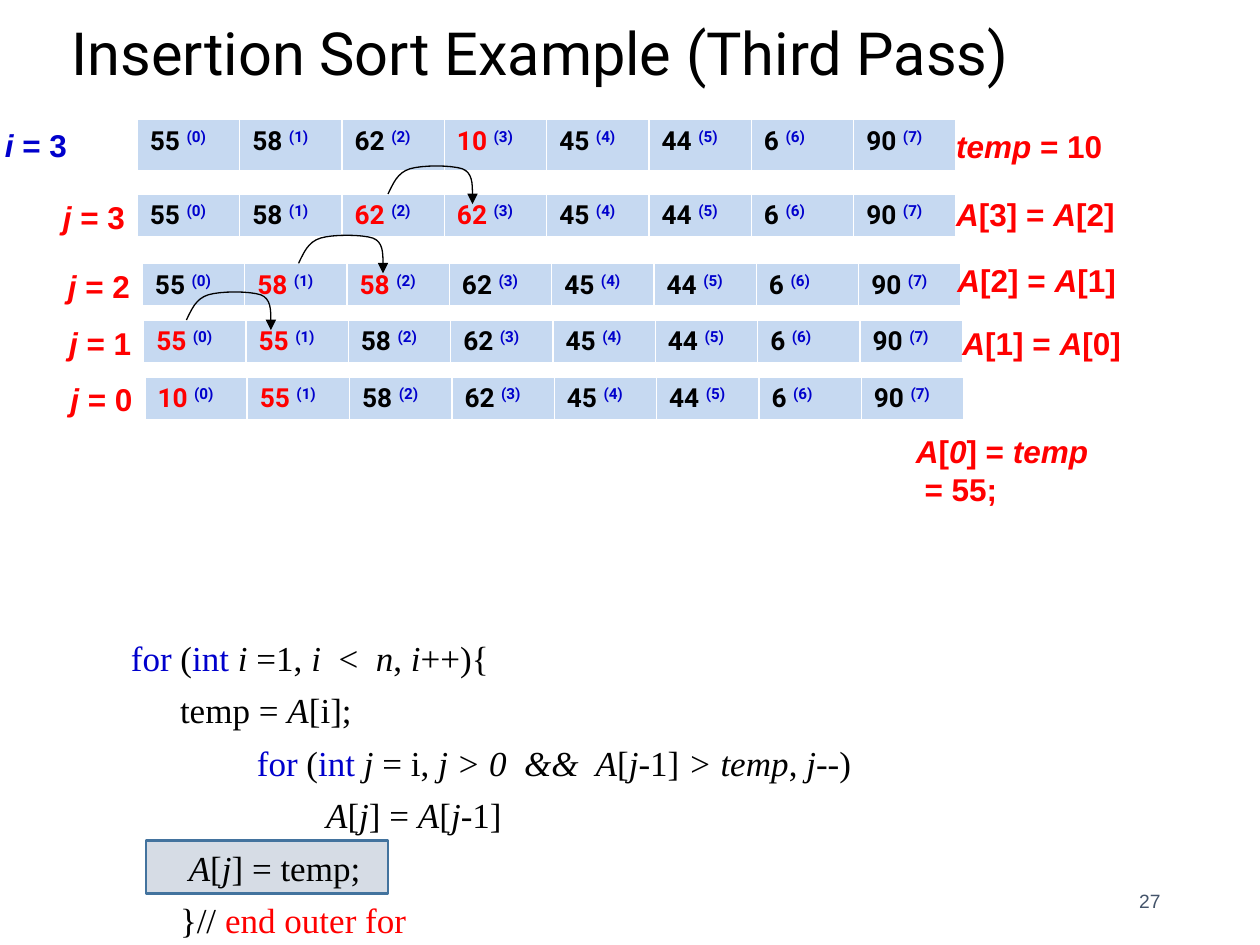
from dataclasses import dataclass
from lxml.etree import SubElement
from pptx import Presentation
from pptx.dml.color import RGBColor
from pptx.enum.shapes import MSO_CONNECTOR as Connector, MSO_SHAPE as Preset
from pptx.enum.text import MSO_ANCHOR as Anchor, MSO_AUTO_SIZE as Fit, PP_ALIGN as Align
from pptx.oxml import parse_xml
from pptx.oxml.ns import nsdecls, qn
from pptx.util import Inches, Pt


@dataclass(frozen=True)
class Theme:
    black: str = "000000"
    blue: str = "0000CC"
    red: str = "FF0000"
    white: str = "FFFFFF"
    cell: str = "C6D9F1"
    mark: str = "D6DCE5"
    edge: str = "43739E"
    slate: str = "44546A"
    heading: str = "Roboto"
    label: str = "Arial"
    code: str = "Times New Roman"
    title_size: int = 34
    code_size: int = 20
    label_size: int = 18
    cell_size: int = 15
    number_size: int = 11


theme = Theme()
deck = Presentation()
deck.slide_width, deck.slide_height = Inches(10), Inches(7.5)
page = deck.slides.add_slide(deck.slide_layouts[6])
unit = deck.slide_width / 100


def place(*cells):
    return [round(cell * unit) for cell in cells]


def write(para, text, font, size, color=theme.black, bold=False, baseline=0):
    for index, part in enumerate(text.split("*")):
        if part:
            span = para.add_run()
            span.text = part
            span.font.name, span.font.size = font, Pt(size)
            span.font.bold, span.font.italic = bold, index % 2 == 1
            span.font.color.rgb = RGBColor.from_string(color)
            if baseline:
                span.font._element.set("baseline", str(baseline * 1000))


highlight = page.shapes.add_shape(Preset.RECTANGLE, *place(11.6, 66.7, 19.2, 4.2))
highlight.shadow.inherit = False
highlight.fill.solid()
highlight.fill.fore_color.rgb = RGBColor.from_string(theme.mark)
highlight.line.color.rgb = RGBColor.from_string(theme.edge)
highlight.line.width = Pt(1.5)

title = page.shapes.add_textbox(*place(4.7, 0.2, 79.2, 7.3)).text_frame
title.word_wrap, title.vertical_anchor = True, Anchor.BOTTOM
title.paragraphs[0].line_spacing = 0.9
write(title.paragraphs[0], "Insertion Sort Example (Third Pass)", theme.heading, theme.title_size)

passes = [
    (10.9, 9.5, 4.2, [55, 58, 62, 10, 45, 44, 6, 90], {3}),
    (10.9, 15.4, 3.5, [55, 58, 62, 62, 45, 44, 6, 90], {2, 3}),
    (11.3, 20.9, 3.5, [55, 58, 58, 62, 45, 44, 6, 90], {1, 2}),
    (11.4, 25.4, 3.5, [55, 55, 58, 62, 45, 44, 6, 90], {0, 1}),
    (11.5, 29.9, 3.5, [10, 55, 58, 62, 45, 44, 6, 90], {0, 1}),
]
for left, top, height, values, changed in passes:
    table = page.shapes.add_table(1, len(values), *place(left, top, 65, height)).table
    table.first_row = table.horz_banding = False
    for index, value in enumerate(values):
        cell = table.cell(0, index)
        cell.fill.solid()
        cell.fill.fore_color.rgb = RGBColor.from_string(theme.cell)
        para = cell.text_frame.paragraphs[0]
        color = theme.red if index in changed else theme.black
        write(para, f"{value} ", theme.heading, theme.cell_size, color, bold=True)
        write(para, f"({index})", theme.heading, theme.cell_size, theme.blue, bold=True, baseline=30)
        for order, (side, points) in enumerate([("L", 1), ("R", 1), ("T", 1), ("B", 3)]):
            border = parse_xml(
                f'<a:ln{side} {nsdecls("a")} w="{Pt(points)}"><a:solidFill>'
                f'<a:srgbClr val="{theme.white}"/></a:solidFill></a:ln{side}>')
            cell._tc.get_or_add_tcPr().insert(order, border)

labels = [
    (-0.6, 9.5, 6.9, ["*i* = 3"], theme.blue),
    (4, 15.2, 6.9, ["*j* = 3"], theme.red),
    (4.4, 20.7, 6.9, ["*j* = 2"], theme.red),
    (4.5, 25.2, 6.9, ["*j* = 1"], theme.red),
    (4.6, 29.7, 6.9, ["*j* = 0"], theme.red),
    (74.9, 9.6, 13.6, ["*temp* = 10"], theme.red),
    (74.9, 15, 14.6, ["*A*[3] = *A*[2]"], theme.red),
    (75, 20.2, 14.6, ["*A*[2] = *A*[1]"], theme.red),
    (75.4, 25.2, 14.6, ["*A*[1] = *A*[0]"], theme.red),
    (71.7, 33.8, 15.7, ["*A*[*0*] = *temp*", " = 55;"], theme.red),
]
for left, top, width, lines, color in labels:
    frame = page.shapes.add_textbox(*place(left, top, width, 1 + 3 * len(lines))).text_frame
    frame.word_wrap, frame.auto_size = False, Fit.SHAPE_TO_FIT_TEXT
    for index, line in enumerate(lines):
        para = frame.add_paragraph() if index else frame.paragraphs[0]
        write(para, line, theme.label, theme.label_size, color, bold=True)

arc_width, arc_height, steps = 6.7, 2.3, 8
bends = [
    [(0, 1), (0.06, 0.65), (0.11, 0.26), (0.26, 0.13)],
    [(0.26, 0.13), (0.4, 0), (0.75, 0), (0.88, 0.13)],
    [(0.88, 0.13), (1, 0.26), (1, 0.65), (1, 1)],
]
curve = []
for bend in bends:
    for step in range(1, steps + 1):
        t = step / steps
        weights = [(1 - t) ** 3, 3 * t * (1 - t) ** 2, 3 * t ** 2 * (1 - t), t ** 3]
        curve.append([sum(w * point[axis] for w, point in zip(weights, bend)) for axis in (0, 1)])

for left, top in [(30.8, 15.4), (23.7, 20.9), (14.8, 25.4)]:
    right = left + arc_width
    points = [place(left + x * arc_width, top + (y - 1) * arc_height) for x, y in curve]
    builder = page.shapes.build_freeform(*place(left, top))
    builder.add_line_segments(points, close=False)
    arc = builder.convert_to_shape()
    arc.shadow.inherit = False
    arc.fill.background()
    arrow = page.shapes.add_connector(Connector.STRAIGHT, *place(right, top, right, top + 0.8))
    SubElement(arrow.line._get_or_add_ln(), qn("a:tailEnd"), type="triangle")
    for stroke in (arc, arrow):
        stroke.line.color.rgb = RGBColor.from_string(theme.black)
        stroke.line.width = Pt(0.75)
    SubElement(arrow._element.spPr, qn("a:effectLst"))

code = [
    (3, [("for", theme.blue), (" (", theme.black), ("int ", theme.blue),
         ("*i *=1, *i  *<  *n*, *i*++){", theme.black)]),
    (6.9, [("temp = *A*[i];", theme.black)]),
    (13, [("for", theme.blue), (" (", theme.black), ("int ", theme.blue),
          ("*j *= i, *j > 0  &&  A*[*j*-1]* > temp*, *j*--)", theme.black)]),
    (18.5, [("*A*[*j*] = *A*[*j*-1]", theme.black)]),
    (7.6, [("*A*[*j*] = temp;", theme.black)]),
    (6.9, [("}// ", theme.black), ("end outer for", theme.red)]),
]
listing = page.shapes.add_textbox(*place(6.4, 50, 79.2, 23.3)).text_frame
listing.word_wrap = True
for index, (indent, pieces) in enumerate(code):
    para = listing.add_paragraph() if index else listing.paragraphs[0]
    para.space_before = Pt(6)
    para._p.get_or_add_pPr().set("marL", str(place(indent)[0]))
    for text, color in pieces:
        write(para, text, theme.code, theme.code_size, color)

number = page.shapes.add_textbox(*place(70.6, 69.5, 22.5, 4)).text_frame
number.word_wrap, number.vertical_anchor = True, Anchor.MIDDLE
number.paragraphs[0].alignment = Align.RIGHT
write(number.paragraphs[0], "27", theme.label, theme.number_size, theme.slate)

deck.save("out.pptx")
